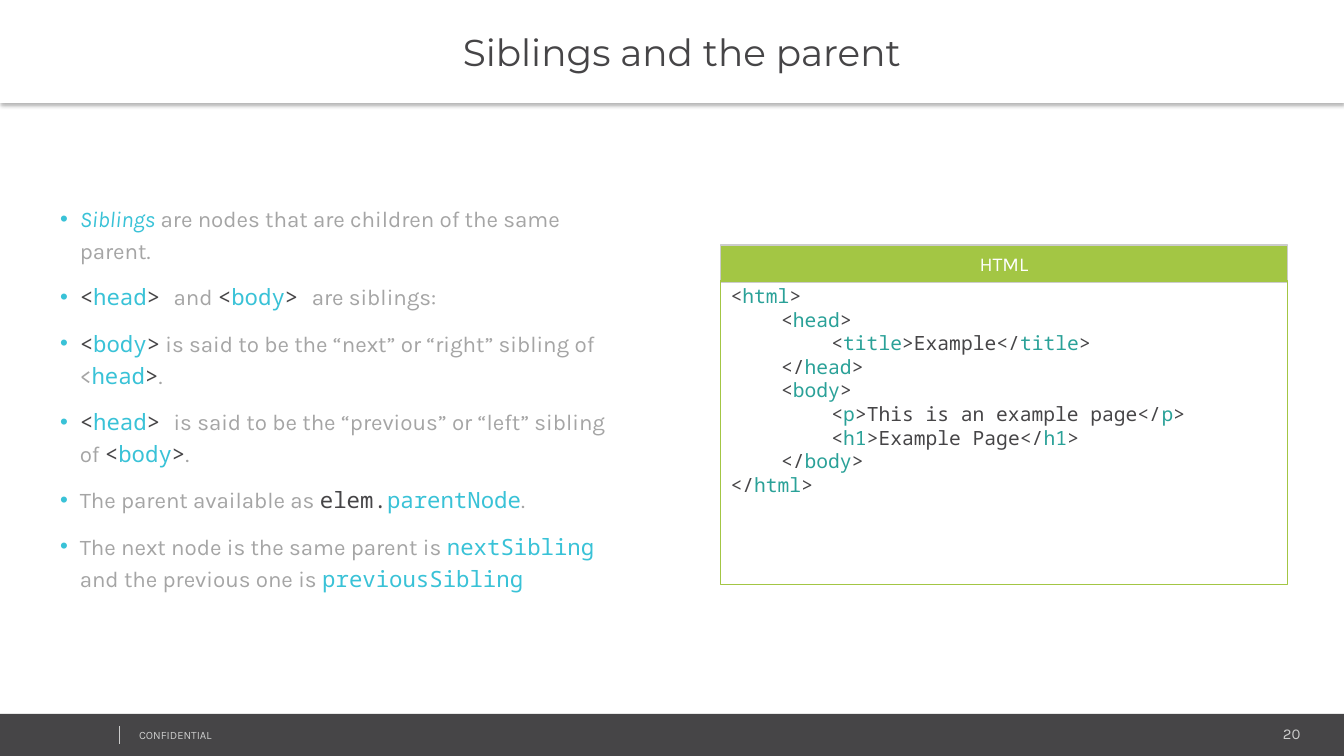
from lxml import etree
from pptx import Presentation
from pptx.dml.color import RGBColor
from pptx.enum import shapes as kinds, text as txt
from pptx.oxml import ns
from pptx.util import Pt

DARK = RGBColor(0x46, 0x45, 0x47)
GREY = RGBColor(0xA5, 0xA5, 0xA5)
PALE = RGBColor(0xCC, 0xCC, 0xCC)
WHITE = RGBColor(0xFF, 0xFF, 0xFF)
BLUE = RGBColor(0x39, 0xC2, 0xD7)
TEAL = RGBColor(0x2A, 0xA1, 0x98)
GREEN = RGBColor(0xA3, 0xC6, 0x44)
SANS, MONO, HEAD = "Karla", "Noto Sans Mono", "Montserrat"

deck = Presentation()
deck.slide_width, deck.slide_height = Pt(960), Pt(540)
slide = deck.slides.add_slide(deck.slide_layouts[6])


def add_box(home, place, fill=None, line=None, pad=(7.2, 3.6), rect=True):
    place = [Pt(v) for v in place]
    if rect:
        box = home.add_shape(kinds.MSO_SHAPE.RECTANGLE, *place)
        box.shadow.inherit = False
        if fill is None:
            box.fill.background()
        else:
            box.fill.solid()
            box.fill.fore_color.rgb = fill
        if line is None:
            box.line.fill.background()
        else:
            box.line.color.rgb = line
            box.line.width = Pt(0.75)
        box.text_frame.vertical_anchor = txt.MSO_ANCHOR.MIDDLE
    else:
        box = home.add_textbox(*place)
    frame = box.text_frame
    frame.word_wrap = True
    frame.margin_left, frame.margin_top = Pt(pad[0]), Pt(pad[1])
    frame.margin_right, frame.margin_bottom = Pt(min(pad[0], 7.2)), Pt(pad[1])
    return box


def add_run(para, words, face, size, color, slant=False):
    para.alignment = para.alignment or txt.PP_ALIGN.LEFT
    run = para.add_run()
    run.text = words
    run.font.name, run.font.size = face, Pt(size)
    run.font.color.rgb, run.font.italic = color, slant


add_box(slide.shapes, (0, 510, 961, 31), DARK)
page = add_box(slide.shapes, (779, 514, 157, 20), rect=False)
page.text_frame.paragraphs[0].alignment = txt.PP_ALIGN.RIGHT
add_run(page.text_frame.paragraphs[0], "20", SANS, 10.7, PALE)
note = add_box(slide.shapes, (92.2, 517, 243, 17), rect=False)
add_run(note.text_frame.paragraphs[0], "CONFIDENTIAL", SANS, 8, PALE)
rule = slide.shapes.add_connector(
    kinds.MSO_CONNECTOR.STRAIGHT, Pt(85.5), Pt(518.5), Pt(85.5), Pt(531.5))
rule.line.color.rgb, rule.line.width = PALE, Pt(0.75)
etree.SubElement(rule._element.spPr, ns.qn("a:effectLst"))

looks = {
    "text": (SANS, 16, GREY),
    "term": (SANS, 16, BLUE, True),
    "mark": (MONO, 16, DARK),
    "name": (MONO, 16, BLUE),
}
points = [
    [("term", "Siblings"),
     ("text", " are nodes that are children of the same parent.")],
    [("mark", "<"), ("name", "head"), ("mark", "> "), ("text", "and "),
     ("mark", "<"), ("name", "body"), ("mark", "> "),
     ("text", "are siblings:")],
    [("mark", "<"), ("name", "body"), ("mark", ">"),
     ("text", " is said to be the “next” or “right” sibling of <"),
     ("name", "head"), ("mark", ">"), ("text", ".")],
    [("mark", "<"), ("name", "head"), ("mark", "> "),
     ("text", "is said to be the “previous” or “left” sibling of "),
     ("mark", "<"), ("name", "body"), ("mark", ">"), ("text", ".")],
    [("text", "The parent available as "), ("mark", "elem."),
     ("name", "parentNode"), ("text", ".")],
    [("text", "The next node is the same parent is "),
     ("name", "nextSibling"), ("text", " and the previous one is "),
     ("name", "previousSibling")],
]
body = add_box(slide.shapes, (38, 139.7, 407.5, 330.5), pad=(5, 2.9), rect=False)
for i, parts in enumerate(points):
    para = body.text_frame.add_paragraph() if i else body.text_frame.paragraphs[0]
    para.line_spacing = 1.2
    para.space_before = Pt(10 if i else 0)
    props = para._p.get_or_add_pPr()
    props.set("marL", str(Pt(14)))
    props.set("indent", str(Pt(-14)))
    tint = etree.SubElement(props, ns.qn("a:buClr"))
    etree.SubElement(tint, ns.qn("a:srgbClr"), val=str(BLUE))
    etree.SubElement(props, ns.qn("a:buFont"), typeface="Arial")
    etree.SubElement(props, ns.qn("a:buChar"), char="•")
    for look, words in parts:
        add_run(para, words, *looks[look])

title = add_box(slide.shapes, (0, 0, 960, 73.5), WHITE, pad=(21.6, 2.9))
add_run(title.text_frame.paragraphs[0], "Siblings and the parent", HEAD, 26.7, DARK)
glow = etree.SubElement(
    title._element.spPr.find(ns.qn("a:effectLst")), ns.qn("a:outerShdw"),
    blurRad=str(Pt(3.1)), dist=str(Pt(2)), dir="5400000", algn="t", rotWithShape="0")
shade = etree.SubElement(glow, ns.qn("a:srgbClr"), val="000000")
etree.SubElement(shade, ns.qn("a:alpha"), val="30000")

panel = slide.shapes.add_group_shape()
label = add_box(panel.shapes, (514.8, 175, 404.6, 27), GREEN, PALE)
add_run(label.text_frame.paragraphs[0], "HTML", SANS, 14, WHITE)
add_box(panel.shapes, (514.8, 200.2, 404.6, 217.3), line=GREEN)

lines = [
    "<|html|>",
    "\t<|head|>",
    "\t\t<|title|>Example</|title|>",
    "\t</|head|>",
    "\t<|body|>",
    "\t\t<|p|>This is an example page</|p|>",
    "\t\t<|h1|>Example Page</|h1|>",
    "\t</|body|>",
    "</|html|>",
]
code = add_box(slide.shapes, (514.8, 199.5, 387.4, 230.4), rect=False)
for i, line in enumerate(lines):
    para = code.text_frame.add_paragraph() if i else code.text_frame.paragraphs[0]
    for j, words in enumerate(line.split("|")):
        add_run(para, words, MONO, 14, TEAL if j % 2 else DARK)

deck.save("out.pptx")
